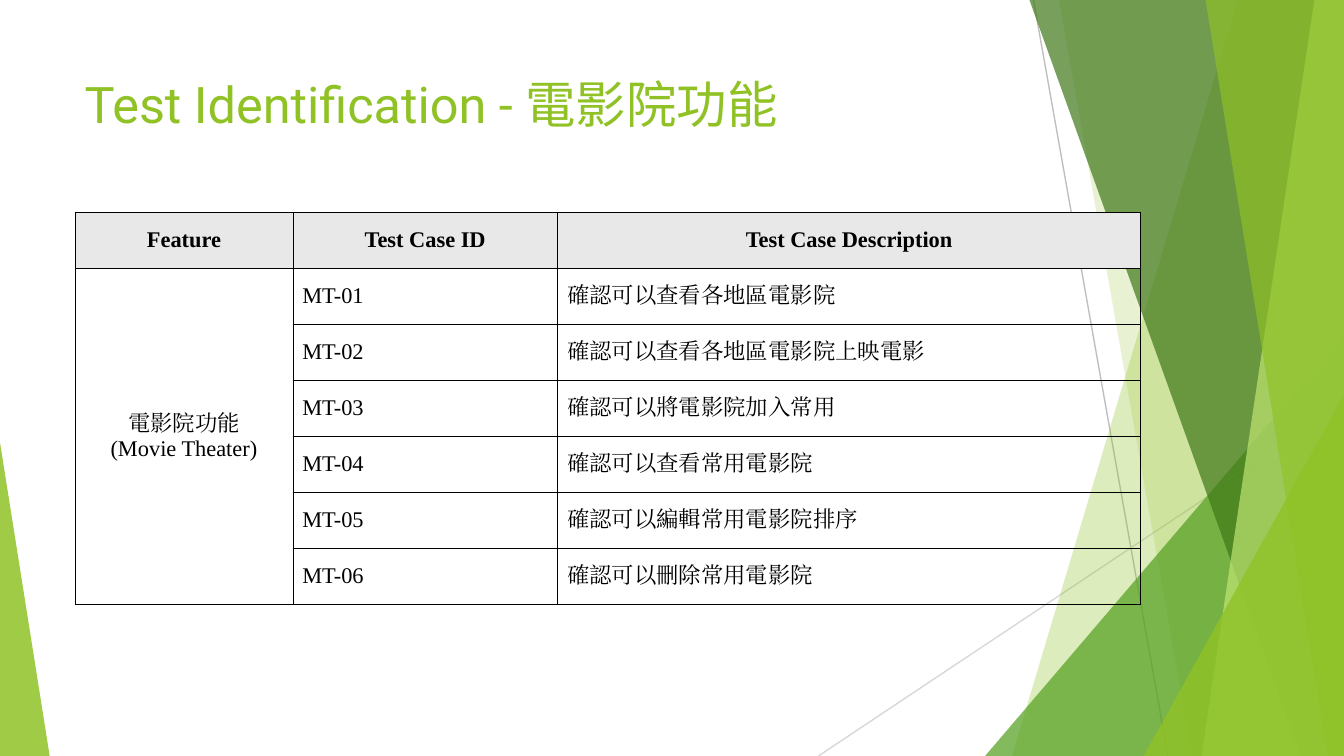
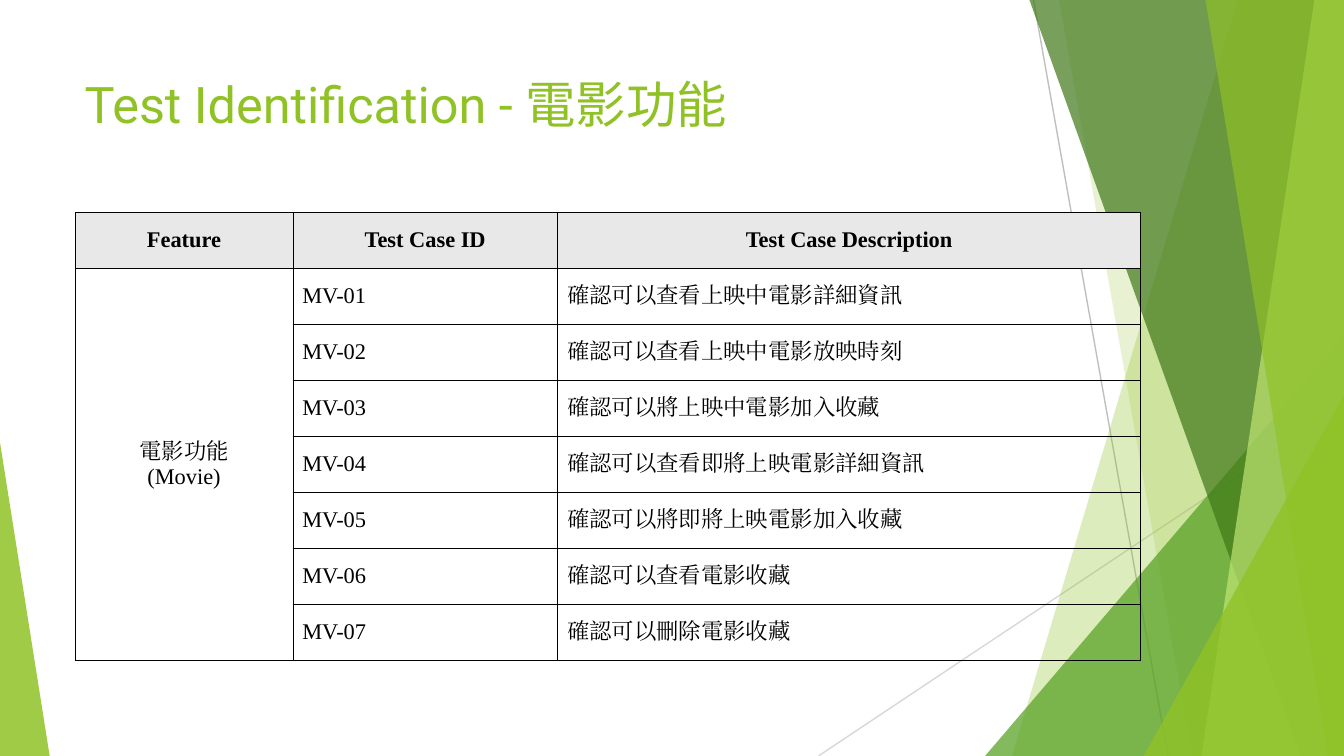
from lxml.etree import SubElement
from pptx import Presentation
from pptx.dml.color import RGBColor
from pptx.enum.shapes import MSO_CONNECTOR, MSO_SHAPE
from pptx.enum.text import MSO_ANCHOR, MSO_AUTO_SIZE, PP_ALIGN
from pptx.oxml.ns import qn
from pptx.util import Inches, Pt

COLOURS = {
    "lime": "90C226", "leaf": "54A021", "forest": "3F7818", "pale": "BFE471",
    "ray": "BFBFBF", "faint_ray": "D8D8D8", "ink": "000000", "header": "E8E8E8",
}
WIDTH = Inches(10)
HEIGHT = WIDTH * 9 // 16
LEFT = Inches(0.56)
TABLE_TOP = Inches(1.58)
ROW_HEIGHT = HEIGHT * 2 // 27
COLUMN_WIDTHS = [Inches(1.62), Inches(1.97), Inches(4.34)]
MARGIN_X, MARGIN_Y = Inches(0.07), Inches(0.04)

# Rays: x and y at the start, x and y at the end, colour
RAYS = [
    (Inches(7.69), 0, Inches(8.69), HEIGHT, "ray"),
    (WIDTH, Inches(3.02), Inches(6.09), HEIGHT, "faint_ray"),
]
# Facets: x at the top, x at the bottom, y of the top, colour, opacity in %.
# Those that start at the slide's top run to its right edge; the rest are triangles.
FACETS = [
    (9.21, 7.53, 0, "lime", 30),
    (7.88, 8.87, 0, "lime", 20),
    (10, 7.33, 2.5, "leaf", 72),
    (7.66, 9.68, 0, "forest", 70),
    (9.78, 8.94, 0, "pale", 70),
    (8.97, 9.88, 0, "lime", 65),
    (10, 8.51, 2.94, "lime", 80),
    (0, 0.37, 3.29, "lime", 85),
]
HEADINGS = ["Feature", "Test Case ID", "Test Case Description"]
FEATURES = [
    ("電影院功能", "Movie Theater", "MT", [
        "確認可以查看各地區電影院",
        "確認可以查看各地區電影院上映電影",
        "確認可以將電影院加入常用",
        "確認可以查看常用電影院",
        "確認可以編輯常用電影院排序",
        "確認可以刪除常用電影院",
    ]),
    ("電影功能", "Movie", "MV", [
        "確認可以查看上映中電影詳細資訊",
        "確認可以查看上映中電影放映時刻",
        "確認可以將上映中電影加入收藏",
        "確認可以查看即將上映電影詳細資訊",
        "確認可以將即將上映電影加入收藏",
        "確認可以查看電影收藏",
        "確認可以刪除電影收藏",
    ]),
]


def write(frame, text, font="Times New Roman", size=12, colour="ink", bold=False,
          align=PP_ALIGN.LEFT):
    """Fill a text frame, one paragraph for each line of text."""
    frame.text = text
    for paragraph in frame.paragraphs:
        paragraph.alignment = align
        for run in paragraph.runs:
            run.font.size = Pt(size)
            run.font.bold = bold
            run.font.color.rgb = RGBColor.from_string(COLOURS[colour])
            run.font.name = font
            SubElement(run.font._element, qn("a:ea"), typeface=font)


def fill_cell(cell, text, shade=None, **text_format):
    """Write a table cell with thin borders on all sides."""
    write(cell.text_frame, text, **text_format)
    cell.vertical_anchor = MSO_ANCHOR.MIDDLE
    cell.margin_left = cell.margin_right = MARGIN_X
    cell.margin_top = cell.margin_bottom = 0
    properties = cell._tc.get_or_add_tcPr()
    for side in ("lnL", "lnR", "lnT", "lnB"):
        border = SubElement(properties, qn(f"a:{side}"), w=str(Pt(0.5)))
        SubElement(SubElement(border, qn("a:solidFill")), qn("a:srgbClr"), val=COLOURS["ink"])
    if shade:
        cell.fill.solid()
        cell.fill.fore_color.rgb = RGBColor.from_string(COLOURS[shade])
    else:
        cell.fill.background()


deck = Presentation()
deck.slide_width, deck.slide_height = WIDTH, HEIGHT
layout = deck.slide_layouts.get_by_name("Title Only")
for placeholder in list(layout.placeholders):
    if placeholder.placeholder_format.idx != 0:
        placeholder.element.getparent().remove(placeholder.element)
slides = [deck.slides.add_slide(layout) for _ in FEATURES]

# Shared backdrop: drawn once as a group, then moved behind the layout's title
backdrop = slides[0].shapes.add_group_shape()
for x1, y1, x2, y2, colour in RAYS:
    ray = backdrop.shapes.add_connector(MSO_CONNECTOR.STRAIGHT, x1, y1, x2, y2)
    ray.line.color.rgb = RGBColor.from_string(COLOURS[colour])
    ray.line.width = Pt(0.75)
    SubElement(ray.element.spPr, qn("a:effectLst"))

for top_x, bottom_x, top_y, colour, opacity in FACETS:
    apex, foot, top = Inches(top_x), Inches(bottom_x), Inches(top_y)
    if top == 0:
        outline = backdrop.shapes.build_freeform(apex, 0)
        outline.add_line_segments([(WIDTH, 0), (WIDTH, HEIGHT), (foot, HEIGHT)])
        facet = outline.convert_to_shape()
    else:
        facet = backdrop.shapes.add_shape(
            MSO_SHAPE.ISOSCELES_TRIANGLE, min(apex, foot), top, abs(apex - foot), HEIGHT - top)
        facet.adjustments[0] = 1 if apex > foot else 0
    facet.shadow.inherit = False
    facet.line.fill.background()
    facet.fill.solid()
    facet.fill.fore_color.rgb = RGBColor.from_string(COLOURS[colour])
    tint = facet.element.spPr.find(f"{qn('a:solidFill')}/{qn('a:srgbClr')}")
    SubElement(tint, qn("a:alpha"), val=str(opacity * 1000))
layout.shapes._spTree.insert(2, backdrop.element)

for slide, (feature, english, prefix, descriptions) in zip(slides, FEATURES):
    title = slide.shapes.title
    title.left, title.top = LEFT, Inches(0.5)
    title.width, title.height = Inches(7.05), Inches(1.08)
    heading = title.text_frame
    heading.auto_size = MSO_AUTO_SIZE.NONE
    heading.vertical_anchor = MSO_ANCHOR.TOP
    heading.margin_left = heading.margin_right = MARGIN_X
    heading.margin_top = heading.margin_bottom = MARGIN_Y
    write(heading, f"Test Identification - {feature}", font="Roboto", size=27, colour="lime")

    row_count = len(descriptions) + 1
    cases = slide.shapes.add_table(
        row_count, len(HEADINGS), LEFT, TABLE_TOP,
        sum(COLUMN_WIDTHS), ROW_HEIGHT * row_count).table
    cases.first_row = cases.horz_banding = False
    for column, width in zip(cases.columns, COLUMN_WIDTHS):
        column.width = width
    for row in cases.rows:
        row.height = ROW_HEIGHT

    for column, label in enumerate(HEADINGS):
        fill_cell(cases.cell(0, column), label, shade="header", bold=True, align=PP_ALIGN.CENTER)
    for number, description in enumerate(descriptions, start=1):
        name = f"{feature}\n({english})" if number == 1 else ""
        fill_cell(cases.cell(number, 0), name, align=PP_ALIGN.CENTER)
        fill_cell(cases.cell(number, 1), f"{prefix}-{number:02}")
        fill_cell(cases.cell(number, 2), description)
    cases.cell(1, 0).merge(cases.cell(row_count - 1, 0))

deck.save("out.pptx")
